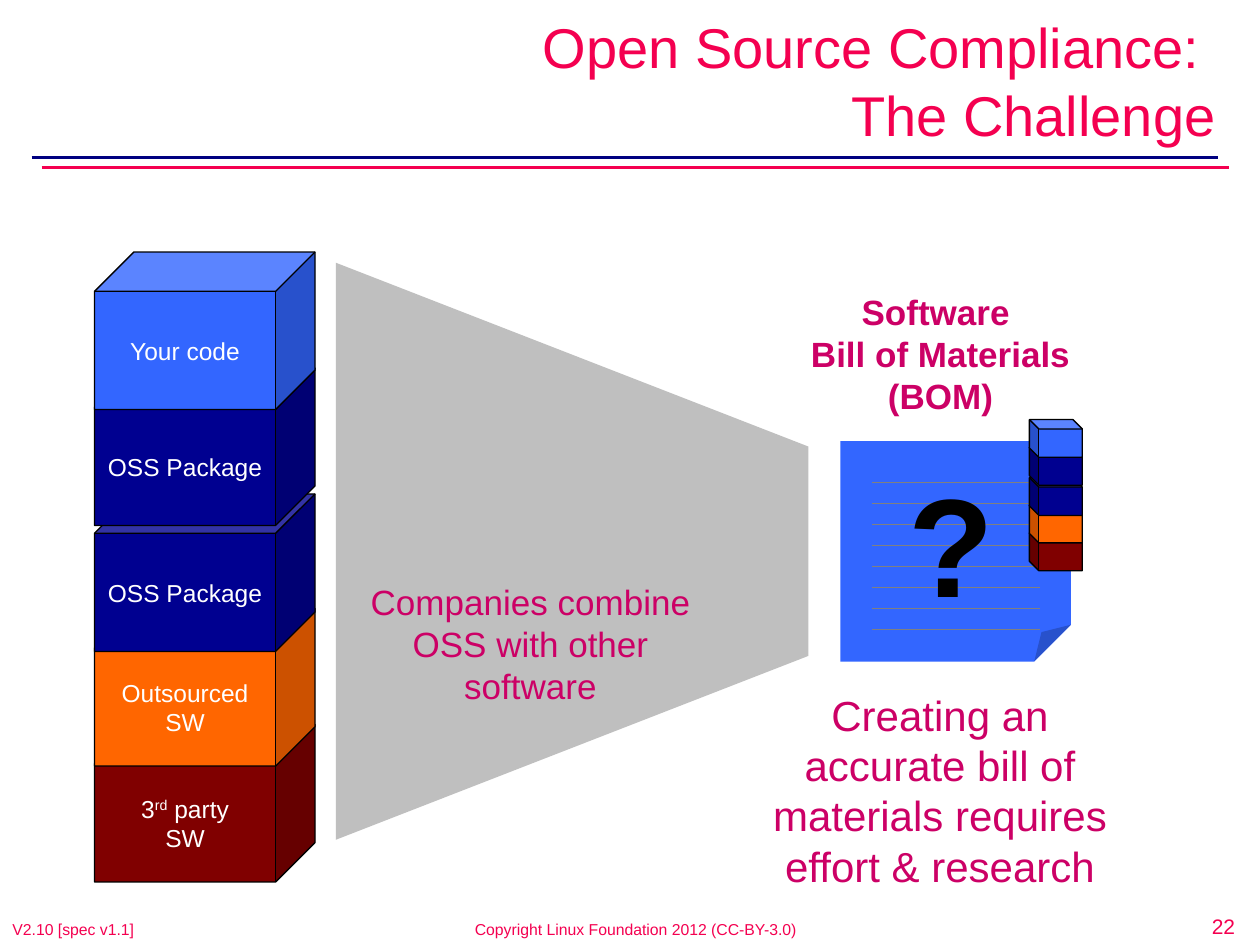
from dataclasses import dataclass

from lxml.etree import SubElement
from pptx import Presentation
from pptx.dml.color import RGBColor
from pptx.enum.shapes import MSO_CONNECTOR, MSO_SHAPE
from pptx.enum.text import MSO_ANCHOR as ANCHOR, MSO_AUTO_SIZE, PP_ALIGN as ALIGN
from pptx.oxml.ns import qn
from pptx.util import Inches, Pt

FONT = "Arial"
RED = RGBColor(0xF4, 0x00, 0x50)
NAVY = RGBColor(0x00, 0x00, 0x80)
MAGENTA = RGBColor(0xCC, 0x00, 0x66)
BLUE = RGBColor(0x33, 0x66, 0xFF)
DARK_BLUE = RGBColor(0x00, 0x00, 0x90)
ORANGE = RGBColor(0xFF, 0x66, 0x00)
MAROON = RGBColor(0x80, 0x00, 0x00)
SILVER = RGBColor(0xBF, 0xBF, 0xBF)
GRAY = RGBColor(0x80, 0x80, 0x80)
BLACK = RGBColor(0x00, 0x00, 0x00)
WHITE = RGBColor(0xFF, 0xFF, 0xFF)


@dataclass
class Block:
    """A cube of the software stack; '^' marks encloses superscript text."""
    offset: float
    color: RGBColor
    lines: list[str]


@dataclass
class Label:
    lines: list[str]
    box: tuple[float, float, float, float]
    size: int
    color: RGBColor = MAGENTA
    align: ALIGN = ALIGN.CENTER
    anchor: ANCHOR = ANCHOR.TOP
    bold: bool = False
    wrap: bool = True


BLOCKS = [
    Block(0, BLUE, ["Your code"]),
    Block(0.92, DARK_BLUE, ["OSS Package"]),
    Block(1.92, DARK_BLUE, ["OSS Package"]),
    Block(2.83, ORANGE, ["Outsourced", "SW"]),
    Block(3.75, MAROON, ["3^rd^ party", "SW"]),
]

FOOTERS = [
    Label(["22"], (9.42, 7.2, 0.58, 0.3), 12, RED),
    Label(["Copyright Linux Foundation 2012 (CC-BY-3.0)"],
          (3.67, 7.25, 2.75, 0.25), 9, RED, ALIGN.LEFT),
    Label(["V2.10 [spec v1.1]"], (0, 7.25, 2.08, 0.25), 9, RED, ALIGN.LEFT),
]

CAPTIONS = [
    Label(["Creating an accurate bill of materials requires", "effort & research"],
          (5.92, 5.42, 3.08, 2.67), 24),
    Label(["Companies combine OSS with other software"],
          (2.67, 4.56, 3.08, 1.11), 20),
    Label(["Software ", "Bill of Materials", "(BOM)"], (6.33, 2.25, 2.27, 1.11), 20,
          anchor=ANCHOR.MIDDLE, bold=True, wrap=False),
]

QUESTION = Label(["?"], (7.11, 3.58, 0.89, 1.45), 80, BLACK, ALIGN.LEFT,
                 bold=True, wrap=False)


def write_text(tf, lines: list[str], *, size: int, color: RGBColor,
               align=ALIGN.CENTER, anchor=ANCHOR.TOP, bold=False, wrap=True) -> None:
    tf.word_wrap = wrap
    tf.auto_size = MSO_AUTO_SIZE.NONE
    tf.vertical_anchor = anchor
    for i, line in enumerate(lines):
        p = tf.paragraphs[0] if i == 0 else tf.add_paragraph()
        p.alignment = align
        p.space_before = Pt(0)
        for j, part in enumerate(line.split("^")):
            # A line feed inside a title becomes a soft break
            for k, piece in enumerate(part.split("\n")):
                if k:
                    p.add_line_break()
                r = p.add_run()
                r.text = piece
                r.font.name, r.font.size, r.font.bold = FONT, Pt(size), bold
                r.font.color.rgb = color
                if j % 2:
                    r.font._element.set("baseline", "30000")


def add_label(slide, label: Label) -> None:
    s = slide.shapes.add_textbox(*map(Inches, label.box))
    write_text(s.text_frame, label.lines, size=label.size, color=label.color,
               align=label.align, anchor=label.anchor, bold=label.bold,
               wrap=label.wrap)


def add_block(shapes, kind: MSO_SHAPE, box: tuple, fill: RGBColor,
              outlined: bool = False):
    s = shapes.add_shape(kind, *map(Inches, box))
    s.shadow.inherit = False
    s.fill.solid()
    s.fill.fore_color.rgb = fill
    if outlined:
        s.line.color.rgb = BLACK
        s.line.width = Pt(0.75)
    else:
        s.line.fill.background()
    return s


def add_line(slide, x1: float, x2: float, y: float, color: RGBColor,
             width: float) -> None:
    s = slide.shapes.add_connector(MSO_CONNECTOR.STRAIGHT, Inches(x1), Inches(y),
                                   Inches(x2), Inches(y))
    s.line.color.rgb = color
    s.line.width = Pt(width)
    SubElement(s._element.spPr, qn("a:effectLst"))


def draw_stack(shapes, left: float, top: float, scale: float = 1,
               mirrored: bool = False, labelled: bool = True) -> None:
    # The lowest cube lies at the back
    for block in reversed(BLOCKS):
        box = (left, top + block.offset * scale, 1.75 * scale, 1.25 * scale)
        s = add_block(shapes, MSO_SHAPE.CUBE, box, block.color, outlined=True)
        s.adjustments[0] = 0.25
        if mirrored:
            s._element.spPr.get_or_add_xfrm().set("flipH", "1")
        if labelled:
            write_text(s.text_frame, block.lines, size=14, color=WHITE,
                       anchor=ANCHOR.MIDDLE)


def main() -> None:
    prs = Presentation()
    prs.slide_width, prs.slide_height = Inches(10), Inches(7.5)
    slide = prs.slides.add_slide(prs.slide_layouts[5])

    # Footer and header rules
    for label in FOOTERS:
        add_label(slide, label)
    add_line(slide, 0.33, 9.75, 1.33, RED, 1.5)
    add_line(slide, 0.25, 9.67, 1.25, NAVY, 1.5)

    # Title
    title = slide.shapes.title
    title.left, title.top = Inches(2.83), Inches(0.04)
    title.width, title.height = Inches(6.92), Inches(1.18)
    write_text(title.text_frame, ["Open Source Compliance: \nThe Challenge"],
               size=32, color=RED, align=ALIGN.RIGHT, anchor=ANCHOR.BOTTOM)

    # Software stack, document page and funnel between them
    draw_stack(slide.shapes, 0.75, 2)
    add_block(slide.shapes, MSO_SHAPE.FOLDED_CORNER, (6.67, 3.5, 1.83, 1.75), BLUE)
    funnel = add_block(slide.shapes, MSO_SHAPE.TRAPEZOID, (2.25, 2.5, 4.58, 3.75),
                       SILVER)
    funnel.adjustments[0] = 0.389
    funnel.rotation = 90

    for label in CAPTIONS:
        add_label(slide, label)

    # Ruled lines, question mark and small stack on the page
    for i in range(8):
        add_line(slide, 6.92, 8.25, 3.83 + i / 6, GRAY, 0.75)
    add_label(slide, QUESTION)
    group = slide.shapes.add_group_shape()
    draw_stack(group.shapes, 8.17, 3.33, scale=0.24, mirrored=True, labelled=False)

    prs.save("out.pptx")


if __name__ == "__main__":
    main()
